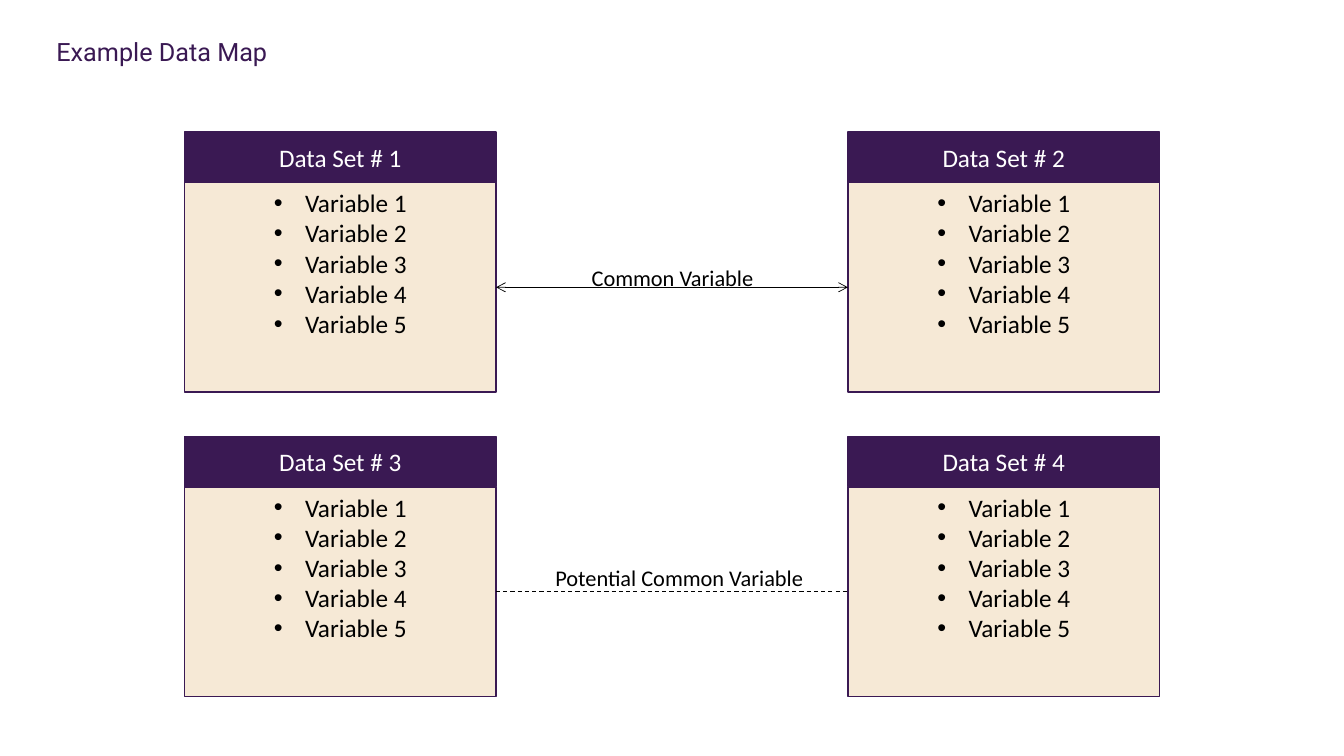
from lxml import etree
from pptx import Presentation
from pptx.dml.color import RGBColor
from pptx.enum.dml import MSO_LINE
from pptx.enum.shapes import MSO_CONNECTOR, MSO_SHAPE
from pptx.enum.text import MSO_ANCHOR, MSO_AUTO_SIZE, PP_ALIGN
from pptx.oxml.ns import qn
from pptx.util import Inches, Pt

RECTANGLE, STRAIGHT, DASH = MSO_SHAPE.RECTANGLE, MSO_CONNECTOR.STRAIGHT, MSO_LINE.DASH
TOP, MIDDLE = MSO_ANCHOR.TOP, MSO_ANCHOR.MIDDLE
LEFT, CENTER = PP_ALIGN.LEFT, PP_ALIGN.CENTER
NO_AUTOFIT = MSO_AUTO_SIZE.NONE
LEFT_SIDE, RIGHT_SIDE = 1, 3  # connection sites of a rectangle

# Content
TITLE = "Example Data Map"
DATA_SETS = ["Data Set # 1", "Data Set # 2", "Data Set # 3", "Data Set # 4"]
VARIABLES = [f"Variable {number}" for number in range(1, 6)]
# Text, label box, data sets joined, line width, dashed
RELATIONS = [
    ("Common Variable", (5.77, 2.57, 2.04, 0.37), (0, 1), 0.5, False),
    ("Potential Common Variable", (5.41, 5.55, 2.77, 0.37), (2, 3), 0.75, True),
]

# Layout and colours
MAP_LEFT, MAP_TOP = 1.83, 1.31
COLUMN_STEP, ROW_STEP = 6.58, 3.02
CARD_WIDTH, HEADER_HEIGHT, BODY_HEIGHT = 3.09, 0.5, 2.08
BULLET_INDENT = Inches(0.31)
PURPLE, CREAM, BLACK, WHITE = "3A1953", "F6E9D6", "000000", "FFFFFF"


def color(value):
    return RGBColor.from_string(value)


def write(frame, lines, size, ink, font="Calibri", align=LEFT, anchor=TOP):
    frame.text = "\n".join(lines)
    frame.vertical_anchor = anchor
    for paragraph in frame.paragraphs:
        paragraph.alignment = align
        paragraph.font.name = font
        paragraph.font.size = Pt(size)
        paragraph.font.color.rgb = color(ink)


def add_bullets(frame):
    for paragraph in frame.paragraphs:
        properties = paragraph._p.get_or_add_pPr()
        properties.set("marL", str(BULLET_INDENT))
        properties.set("indent", str(-BULLET_INDENT))
        bullet_font = etree.Element(qn("a:buFont"), typeface="Arial")
        bullet = etree.Element(qn("a:buChar"), char="•")
        properties.insert(0, bullet_font)
        bullet_font.addnext(bullet)


def add_panel(card, left, top, height, fill):
    panel = card.shapes.add_shape(RECTANGLE, Inches(left), Inches(top),
                                  Inches(CARD_WIDTH), Inches(height))
    panel.shadow.inherit = False
    panel.fill.solid()
    panel.fill.fore_color.rgb = color(fill)
    panel.line.color.rgb = color(PURPLE)
    panel.line.width = Pt(1)
    return panel


def add_relation(start, end, width, dashed):
    relation = slide.shapes.add_connector(STRAIGHT, 0, 0, 0, 0)
    relation.begin_connect(start, RIGHT_SIDE)
    relation.end_connect(end, LEFT_SIDE)
    relation.line.color.rgb = color(BLACK)
    relation.line.width = Pt(width)
    if dashed:
        relation.line.dash_style = DASH
    else:
        outline = relation.line._get_or_add_ln()
        for tag in ("a:headEnd", "a:tailEnd"):
            etree.SubElement(outline, qn(tag), type="arrow")
    etree.SubElement(relation._element.spPr, qn("a:effectLst"))


presentation = Presentation()
presentation.slide_width, presentation.slide_height = Inches(13.33), Inches(7.5)
slide = presentation.slides.add_slide(presentation.slide_layouts[5])

# Title
title = slide.shapes.title
title.left, title.top, title.width, title.height = map(Inches, (0.46, 0.31, 2.62, 0.4))
write(title.text_frame, [TITLE], 18, PURPLE, font="Roboto")
title.text_frame.auto_size = NO_AUTOFIT
title.text_frame.word_wrap = False

# Data set cards, two to a row
bodies = []
for index, data_set in enumerate(DATA_SETS):
    row, column = divmod(index, 2)
    left, top = MAP_LEFT + column * COLUMN_STEP, MAP_TOP + row * ROW_STEP
    card = slide.shapes.add_group_shape()
    body = add_panel(card, left, top + HEADER_HEIGHT, BODY_HEIGHT, CREAM)
    write(body.text_frame, VARIABLES, 18, BLACK, align=CENTER)
    add_bullets(body.text_frame)
    header = add_panel(card, left, top, HEADER_HEIGHT, PURPLE)
    write(header.text_frame, [data_set], 18, WHITE, align=CENTER, anchor=MIDDLE)
    bodies.append(body)

# Relations between data sets
for text, box, (start, end), width, dashed in RELATIONS:
    add_relation(bodies[start], bodies[end], width, dashed)
    label = slide.shapes.add_textbox(*map(Inches, box))
    label.text_frame.word_wrap = True
    write(label.text_frame, [text], 16, BLACK)

presentation.save("out.pptx")
